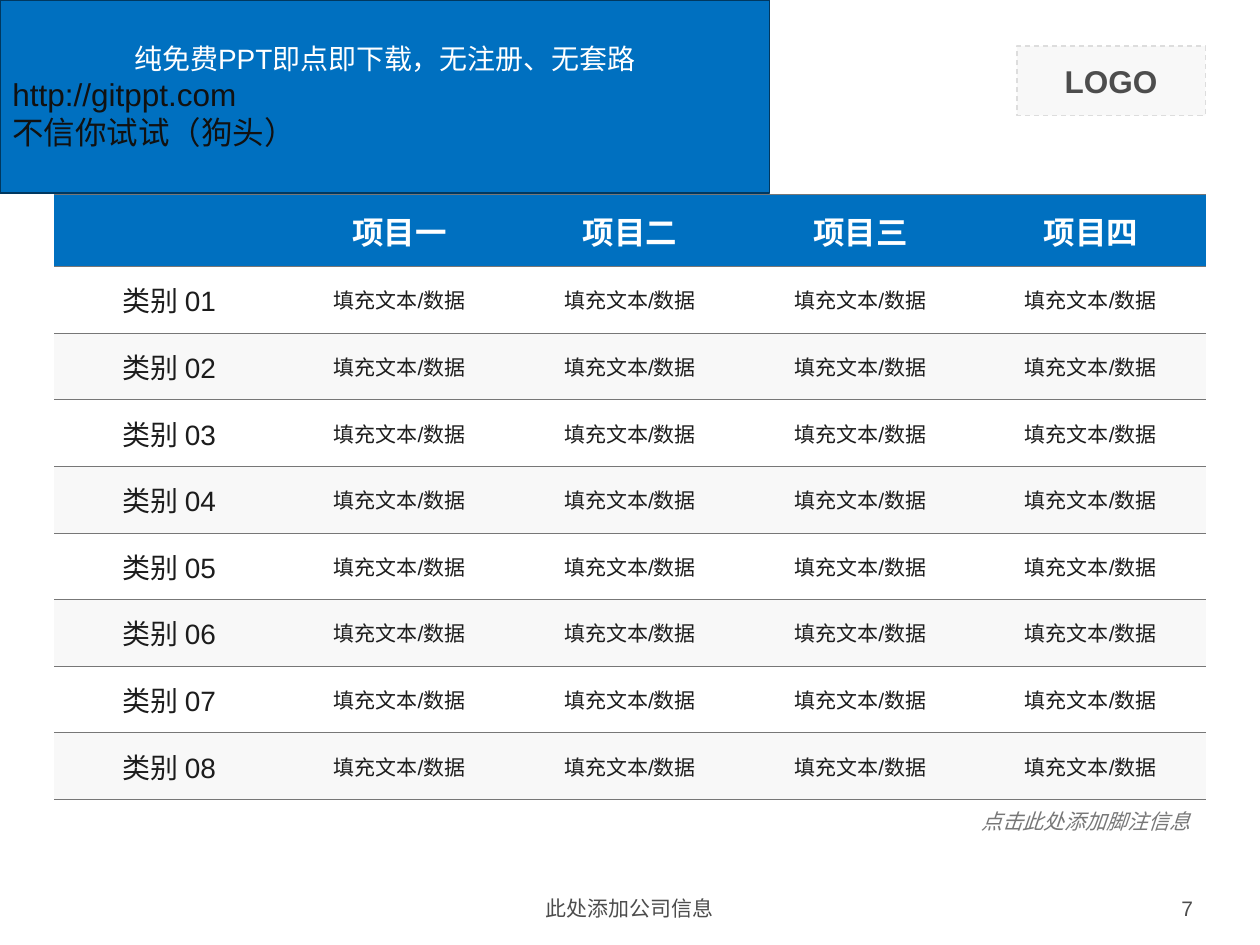
import pptx
import pptx.util
import pptx.dml.color
import pptx.enum.dml
import pptx.enum.shapes
import pptx.enum.text
import pptx.oxml.ns
import lxml.etree

Cm, Pt = pptx.util.Cm, pptx.util.Pt
RGBColor = pptx.dml.color.RGBColor
ALIGN = pptx.enum.text.PP_ALIGN
MIDDLE = pptx.enum.text.MSO_ANCHOR.MIDDLE

BLUE = RGBColor(0x00, 0x70, 0xC0)
NAVY = RGBColor(0x00, 0x38, 0x60)
WHITE = RGBColor(0xFF, 0xFF, 0xFF)
PALE = RGBColor(0xF8, 0xF8, 0xF8)
SILVER = RGBColor(0xDD, 0xDD, 0xDD)
GRAY = RGBColor(0x77, 0x77, 0x77)
DARK = RGBColor(0x4D, 0x4D, 0x4D)
INK = RGBColor(0x1C, 0x1C, 0x1C)
BLACK = RGBColor(0x11, 0x11, 0x11)

BANNER_LINES = [
    ("纯免费PPT即点即下载，无注册、无套路", 16, WHITE, ALIGN.CENTER),
    ("http://gitppt.com", 18, BLACK, ALIGN.LEFT),
    ("不信你试试（狗头）", 18, BLACK, ALIGN.LEFT),
]
HEADERS = ["", "项目一", "项目二", "项目三", "项目四"]
BODY_ROWS = 8
TABLE_W, TABLE_H, HEADER_H = 23.22, 12.2, 1.45


def set_paragraph(p, text, size, color, align, bold=False, italic=False):
    p.text = text
    p.alignment = align
    p.font.name = "Arial"
    p.font.size = Pt(size)
    p.font.color.rgb = color
    p.font.bold = bold
    p.font.italic = italic


def add_panel(s, box, fill, line):
    sp = s.shapes.add_shape(pptx.enum.shapes.MSO_SHAPE.RECTANGLE, *map(Cm, box))
    sp.shadow.inherit = False
    sp.fill.solid()
    sp.fill.fore_color.rgb = fill
    sp.line.color.rgb = line
    sp.line.width = Pt(0.75)
    sp.text_frame.vertical_anchor = MIDDLE
    return sp


def add_banner(s):
    tf = add_panel(s, (0, 0, 15.52, 3.89), BLUE, NAVY).text_frame
    for i, line in enumerate(BANNER_LINES):
        p = tf.add_paragraph() if i else tf.paragraphs[0]
        set_paragraph(p, *line)


def add_logo_box(s):
    sp = add_panel(s, (20.5, 0.93, 3.8, 1.4), PALE, SILVER)
    sp.line.dash_style = pptx.enum.dml.MSO_LINE.DASH
    set_paragraph(sp.text_frame.paragraphs[0], "LOGO", 18, DARK, ALIGN.CENTER, bold=True)


def add_label(s, box, text, color, align, italic=False):
    tf = s.shapes.add_textbox(*map(Cm, box)).text_frame
    tf.word_wrap = True
    tf.vertical_anchor = MIDDLE
    set_paragraph(tf.paragraphs[0], text, 12, color, align, italic=italic)


def set_borders(cell):
    """Rule above and below the cell, nothing at its sides."""
    qn = pptx.oxml.ns.qn
    tc_pr = cell._tc.get_or_add_tcPr()
    for side in ("a:lnL", "a:lnR"):
        ln = lxml.etree.SubElement(tc_pr, qn(side))
        lxml.etree.SubElement(ln, qn("a:noFill"))
    for side in ("a:lnT", "a:lnB"):
        ln = lxml.etree.SubElement(tc_pr, qn(side), w=str(int(Pt(0.45))))
        fill = lxml.etree.SubElement(ln, qn("a:solidFill"))
        lxml.etree.SubElement(fill, qn("a:srgbClr"), val=str(GRAY))


def set_cell(cell, text, size, color, fill, bold=False):
    set_borders(cell)
    cell.fill.solid()
    cell.fill.fore_color.rgb = fill
    cell.vertical_anchor = MIDDLE
    set_paragraph(cell.text_frame.paragraphs[0], text, size, color, ALIGN.CENTER, bold=bold)


def add_data_table(s):
    cols = len(HEADERS)
    table = s.shapes.add_table(BODY_ROWS + 1, cols, Cm(1.09), Cm(3.92),
                               Cm(TABLE_W), Cm(TABLE_H)).table
    for col in table.columns:
        col.width = Cm(TABLE_W / cols)
    for row in table.rows:
        row.height = Cm((TABLE_H - HEADER_H) / BODY_ROWS)
    table.rows[0].height = Cm(HEADER_H)

    for c, header in enumerate(HEADERS):
        set_cell(table.cell(0, c), header, 18, WHITE, BLUE, bold=True)
    for r in range(1, BODY_ROWS + 1):
        fill = WHITE if r % 2 else PALE
        set_cell(table.cell(r, 0), f"类别 {r:02d}", 16, INK, fill)
        for c in range(1, cols):
            set_cell(table.cell(r, c), "填充文本/数据", 12, INK, fill)


def main():
    prs = pptx.Presentation()
    prs.slide_width, prs.slide_height = Cm(25.4), Cm(19.05)
    s = prs.slides.add_slide(prs.slide_layouts[6])

    # Header
    add_logo_box(s)
    add_banner(s)

    # Table and its footnote
    add_data_table(s)
    add_label(s, (18.26, 16.17, 6, 0.77), "点击此处添加脚注信息",
              GRAY, ALIGN.RIGHT, italic=True)

    # Footer
    add_label(s, (8.67, 17.93, 8.05, 0.74), "此处添加公司信息", DARK, ALIGN.CENTER)
    add_label(s, (18.37, 17.93, 5.93, 0.74), "7", DARK, ALIGN.RIGHT)

    prs.save("out.pptx")


if __name__ == "__main__":
    main()
